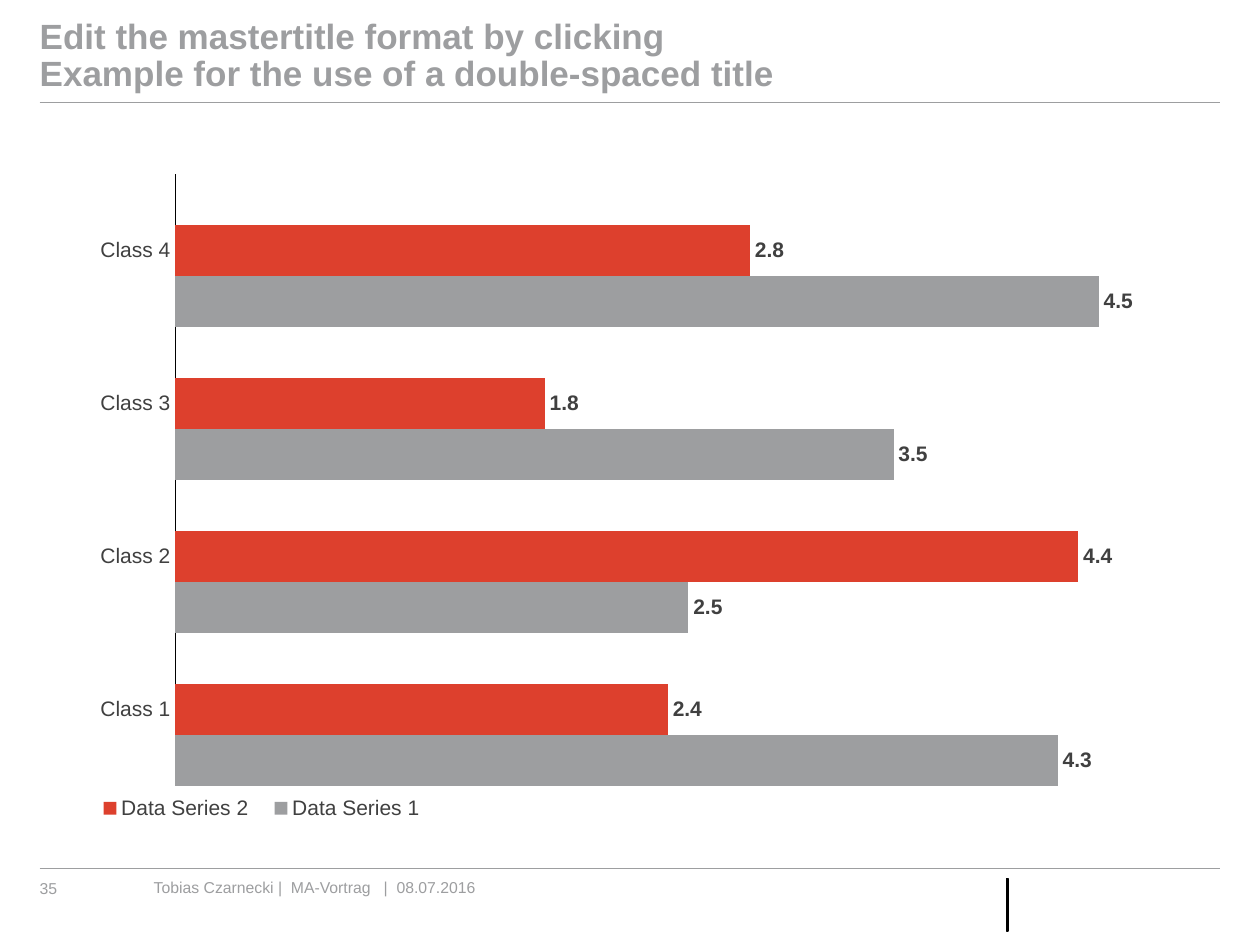
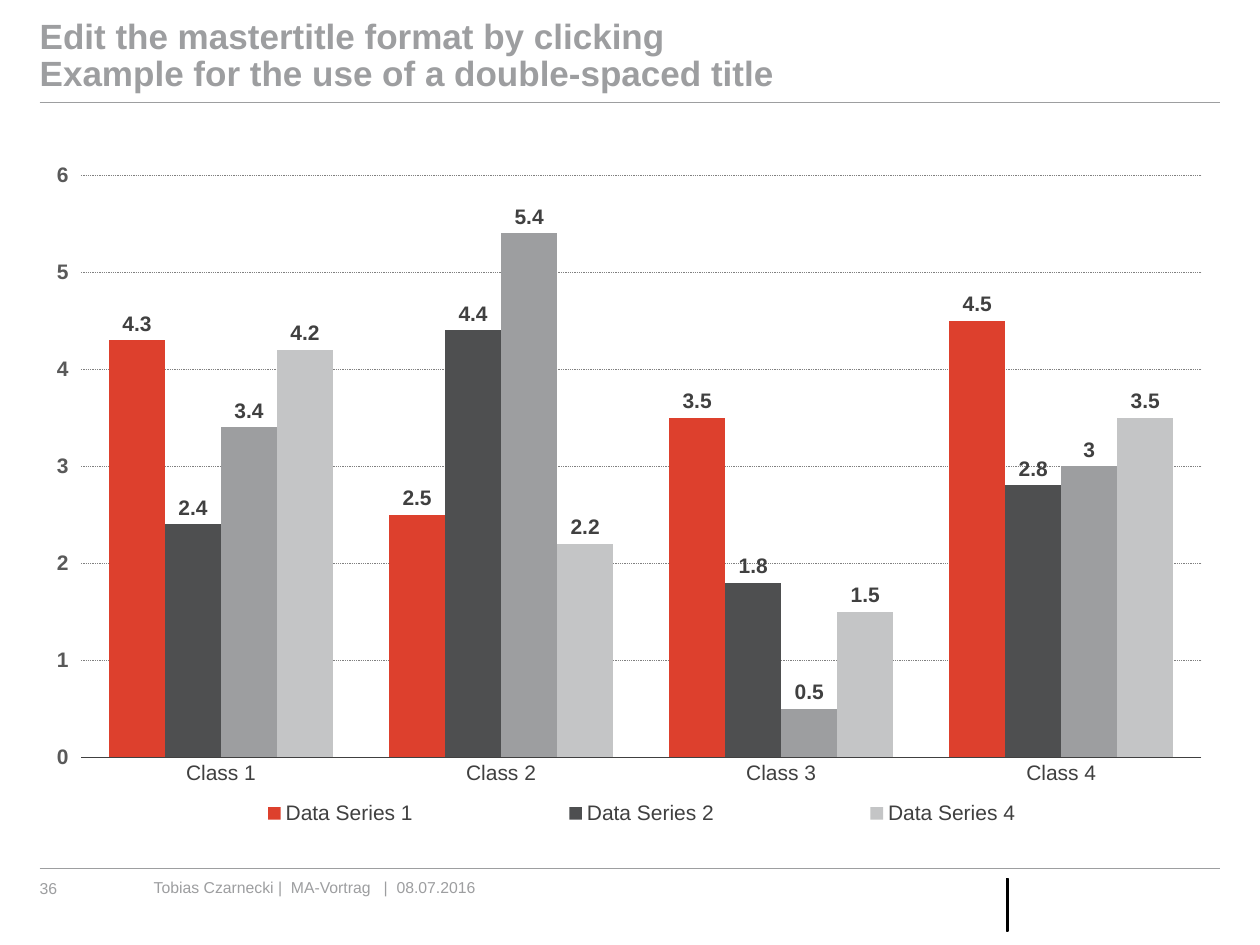
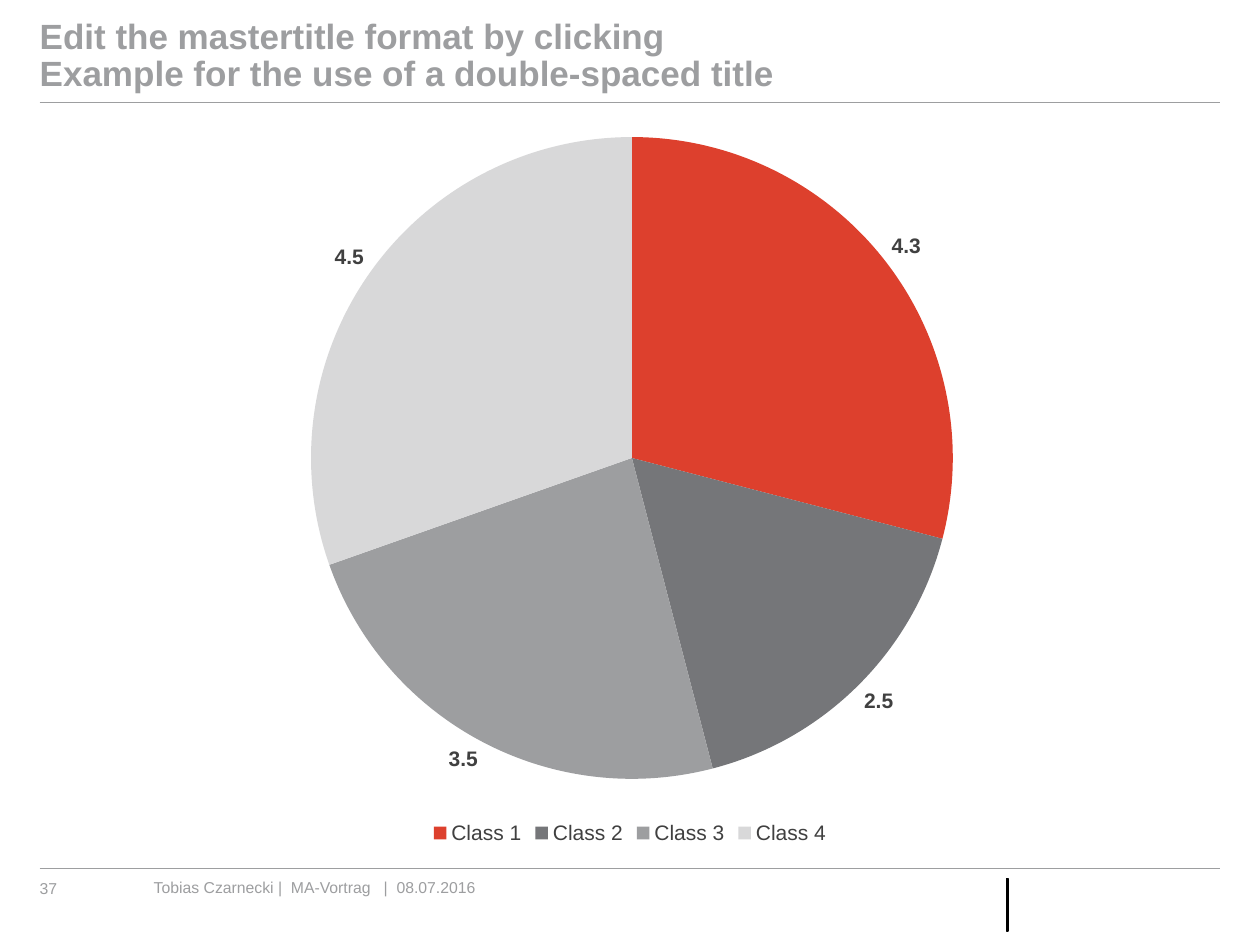
from lxml import etree
from pptx import Presentation
from pptx import util as u
from pptx.chart.data import CategoryChartData
from pptx.dml.color import RGBColor
from pptx.enum import chart as ch, dml, shapes, text
from pptx.oxml import parse_xml
from pptx.oxml.ns import nsdecls, qn

WIDTH, HEIGHT = 10, 7.5
MARGIN = 0.8 / 2.54  # 8 mm
CONTENT = WIDTH - 2 * MARGIN
FOOTER_TOP = 6.97

FONT = "Arial"
RED, GREY, DARK, LIGHT = "DD402D", "9D9EA0", "4E4F50", "C4C5C6"
MID, PALE, INK, AXIS, BLACK = "757679", "D8D8D9", "404040", "595959", "000000"

TITLE = ("Edit the mastertitle format by clicking\v"
         "Example for the use of a double-spaced title")
FOOTER = "Tobias Czarnecki |  MA-Vortrag   |  08.07.2016"
FIRST_NUMBER = 35

CLASSES = ["Class 1", "Class 2", "Class 3", "Class 4"]
VALUES_1 = [4.3, 2.5, 3.5, 4.5]
VALUES_2 = [2.4, 4.4, 1.8, 2.8]
VALUES_3 = [3.4, 5.4, 0.5, 3]
VALUES_4 = [4.2, 2.2, 1.5, 3.5]


def rgb(value):
    return RGBColor.from_string(value)


def inches(*values):
    return [u.Inches(v) for v in values]


def style_font(font, color, size=12, bold=False):
    font.name, font.size, font.bold = FONT, u.Pt(size), bold
    font.color.rgb = rgb(color)


def style_line(line, color, width=0.5):
    line.color.rgb = rgb(color)
    line.width = u.Pt(width)


def fill_text(sp, content, size, bold=False):
    """Write grey text into a frame without insets."""
    tf = sp.text_frame
    tf.word_wrap = True
    tf.auto_size = text.MSO_AUTO_SIZE.NONE
    tf.margin_left = tf.margin_right = tf.margin_top = tf.margin_bottom = 0
    tf.text = content
    p = tf.paragraphs[0]
    p.alignment = text.PP_ALIGN.LEFT
    style_font(p.font, GREY, size, bold)
    return tf


def add_rule(slide, y):
    line = slide.shapes.add_connector(
        shapes.MSO_CONNECTOR.STRAIGHT, *inches(MARGIN, y, WIDTH - MARGIN, y))
    style_line(line.line, GREY)
    etree.SubElement(line._element.spPr, qn("a:effectLst"))


def add_footer(slide, number):
    for content, left, width, height in ((str(number), MARGIN, 0.72, 0.15),
                                         (FOOTER, 1.22, 2.95, 0.47)):
        box = slide.shapes.add_textbox(*inches(left, FOOTER_TOP, width, height))
        fill_text(box, content, 9)
    bar = slide.shapes.add_shape(shapes.MSO_SHAPE.RECTANGLE,
                                 *inches(7.99, FOOTER_TOP, 0.01, 0.42))
    bar.shadow.inherit = False
    bar.fill.solid()
    bar.fill.fore_color.rgb = rgb(BLACK)
    style_line(bar.line, BLACK, 0.75)


def add_slide(prs, number):
    """Add a slide with title, rules and footer."""
    slide = prs.slides.add_slide(prs.slide_layouts[5])
    title = slide.shapes.title
    title.left, title.top, title.width, title.height = inches(
        MARGIN, 0.16, CONTENT, 0.59)
    tf = fill_text(title, TITLE, 20, bold=True)
    tf.vertical_anchor = text.MSO_ANCHOR.BOTTOM
    tf.paragraphs[0].line_spacing = 0.9
    for y in (0.81, 6.89):
        add_rule(slide, y)
    add_footer(slide, number)
    return slide


def manual_layout(x, y, w, h, inner=False):
    """Return a layout element given in shares of the chart's size."""
    target = '<c:layoutTarget val="inner"/>' if inner else ""
    sizes = "".join(f'<c:{k} val="{v}"/>'
                    for k, v in zip("xywh", (x, y, w, h)))
    return parse_xml(
        f'<c:layout {nsdecls("c")}><c:manualLayout>{target}'
        f'<c:xMode val="edge"/><c:yMode val="edge"/>{sizes}'
        "</c:manualLayout></c:layout>")


def drop_layout(parent):
    for layout in parent.findall(qn("c:layout")):
        parent.remove(layout)


def place_plot(chart, *box):
    area = chart._chartSpace.chart.plotArea
    drop_layout(area)
    area.insert(0, manual_layout(*box, inner=True))


def place_legend(chart, hidden, *box):
    """Place the legend and leave out the entry with index hidden."""
    legend = chart.legend._element
    drop_layout(legend)
    position = legend.find(qn("c:legendPos"))
    position.addnext(manual_layout(*box))
    position.addnext(parse_xml(
        f'<c:legendEntry {nsdecls("c")}><c:idx val="{hidden}"/>'
        '<c:delete val="1"/></c:legendEntry>'))


def paint(target, color):
    target.format.fill.solid()
    target.format.fill.fore_color.rgb = rgb(color)


def add_chart(slide, kind, series):
    """Add a chart of (name, values, colour) rows with labels and legend."""
    data = CategoryChartData()
    data.categories = CLASSES
    for name, values, _ in series:
        data.add_series(name, values)
    chart = slide.shapes.add_chart(
        kind, *inches(MARGIN, 0.95, CONTENT, 5.79), data).chart
    # A new pie takes only the first series; replacing the data adds the rest.
    chart.replace_data(data)
    style_font(chart.font, BLACK, bold=True)
    chart.has_title = False
    chart.has_legend = True
    chart.legend.position = ch.XL_LEGEND_POSITION.BOTTOM
    chart.legend.include_in_layout = False
    style_font(chart.legend.font, INK)
    plot = chart.plots[0]
    plot.vary_by_categories = False
    for item, (_, _, color) in zip(plot.series, series):
        paint(item, color)
        labels = item.data_labels
        labels.show_value = True
        labels.position = ch.XL_LABEL_POSITION.OUTSIDE_END
        style_font(labels.font, INK, bold=True)
    return chart


def style_category_axis(chart, line_color):
    axis = chart.category_axis
    axis.major_tick_mark = ch.XL_TICK_MARK.NONE
    style_font(axis.tick_labels.font, INK)
    style_line(axis.format.line, line_color)


def scale_value_axis(chart, top):
    axis = chart.value_axis
    axis.minimum_scale, axis.maximum_scale, axis.major_unit = 0, top, 1
    return axis


def fill_bar_slide(slide):
    chart = add_chart(slide, ch.XL_CHART_TYPE.BAR_CLUSTERED, [
        ("Data Series 1", VALUES_1, GREY),
        ("Data Series 2", VALUES_2, RED),
        ("Data Series 3", [None] * len(CLASSES), BLACK)])
    chart.plots[0].gap_width = 0
    style_category_axis(chart, BLACK)
    axis = scale_value_axis(chart, 5)
    axis.has_major_gridlines = False
    axis.visible = False
    place_plot(chart, 0.115, 0.074, 0.869, 0.839)
    place_legend(chart, 0, 0.038, 0.919, 0.3, 0.05)


def fill_column_slide(slide):
    chart = add_chart(slide, ch.XL_CHART_TYPE.COLUMN_CLUSTERED, [
        ("Data Series 1", VALUES_1, RED),
        ("Data Series 2", VALUES_2, DARK),
        ("Series 3", VALUES_3, GREY),
        ("Data Series 4", VALUES_4, LIGHT)])
    chart.plots[0].gap_width = 100
    style_category_axis(chart, INK)
    axis = scale_value_axis(chart, 6)
    style_font(axis.tick_labels.font, AXIS, bold=True)
    axis.format.line.fill.background()
    grid = axis.major_gridlines.format.line
    style_line(grid, "808080")
    grid.dash_style = dml.MSO_LINE.ROUND_DOT
    place_plot(chart, 0.035, 0.076, 0.949, 0.798)
    place_legend(chart, 2, 0.067, 0.926, 0.886, 0.05)


def fill_pie_slide(slide):
    chart = add_chart(slide, ch.XL_CHART_TYPE.PIE, [
        ("Series 1", VALUES_1, RED),
        ("Series 2", VALUES_2, DARK),
        ("Series 3", VALUES_3, GREY),
        ("Series 4", VALUES_4, LIGHT)])
    plot = chart.plots[0]
    plot.vary_by_categories = True
    slices = [(RED, MID, GREY, PALE)]
    slices += [[color] * len(CLASSES) for color in (DARK, GREY, LIGHT)]
    for item, colors in zip(plot.series, slices):
        for i, color in enumerate(colors):
            paint(item.points[i], color)


def main():
    prs = Presentation()
    prs.slide_width, prs.slide_height = inches(WIDTH, HEIGHT)
    fillers = (fill_bar_slide, fill_column_slide, fill_pie_slide)
    for number, fill in enumerate(fillers, FIRST_NUMBER):
        fill(add_slide(prs, number))
    prs.save("out.pptx")


if __name__ == "__main__":
    main()
